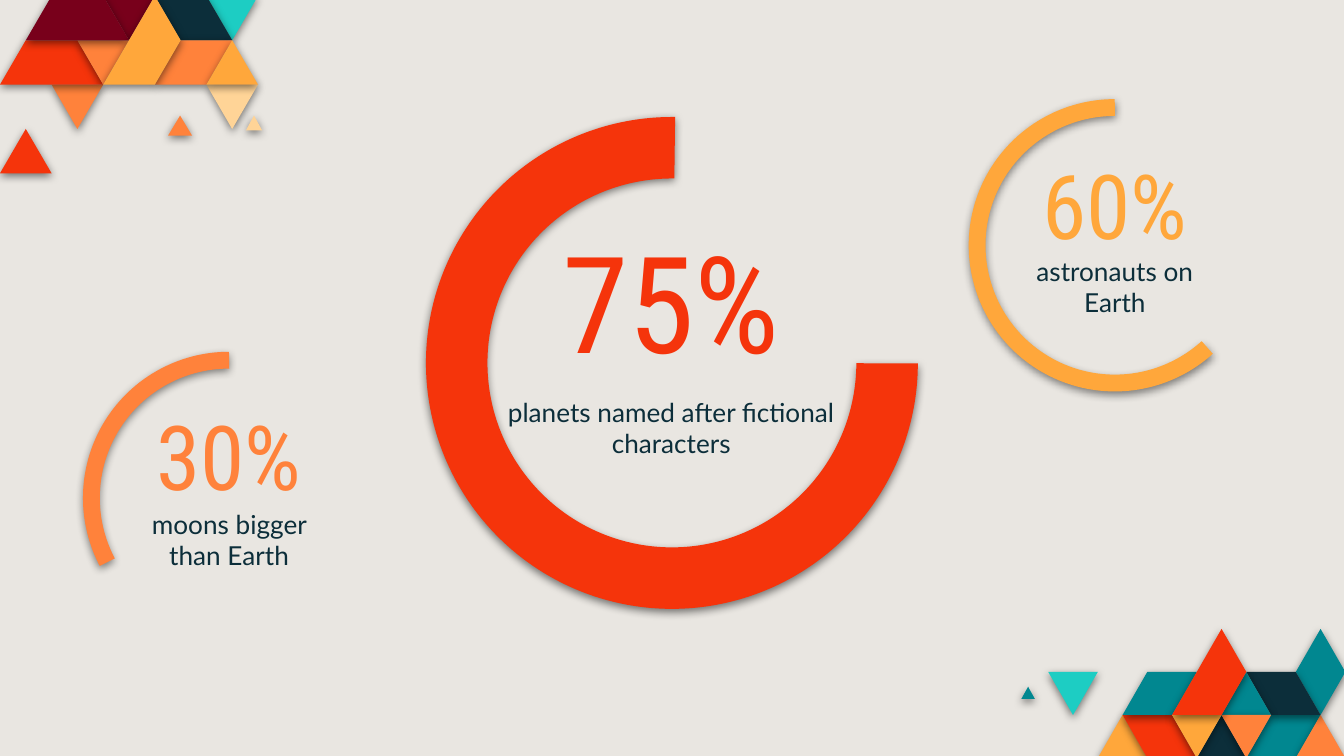
from pptx import Presentation
from pptx.dml.color import RGBColor
from pptx.enum.shapes import MSO_SHAPE
from pptx.enum.text import MSO_ANCHOR, MSO_AUTO_SIZE, PP_ALIGN
from pptx.oxml import parse_xml
from pptx.oxml.ns import nsdecls, qn
from pptx.util import Inches, Pt

RED, ORANGE, AMBER, CREAM = "F5340B", "FF823B", "FFA73B", "FFD497"
MAROON, NAVY, TEAL, TURQUOISE = "78001B", "0C2E3A", "018790", "1DCDC3"
color = RGBColor.from_string


def add_shadow(shape, opacity):
    shape.shadow.inherit = False
    effects = shape._element.spPr.find(qn("a:effectLst"))
    effects.append(parse_xml(
        f'<a:outerShdw {nsdecls("a")} blurRad="{Pt(4.5)}" dist="{Pt(1.5)}" dir="5400000" algn="bl" rotWithShape="0">'
        f'<a:srgbClr val="000000"><a:alpha val="{opacity * 1000}"/></a:srgbClr></a:outerShdw>'))


def write_text(shape, box, text, size, font_name, hex_color, anchor, spacing):
    shape.left, shape.top, shape.width, shape.height = [Inches(value) for value in box]
    frame = shape.text_frame
    frame.text = text
    margins = {f"margin_{side}": Inches(0.1) for side in ("left", "right", "top", "bottom")}
    frame_format = {"word_wrap": True, "auto_size": MSO_AUTO_SIZE.NONE, "vertical_anchor": anchor, **margins}
    for name, value in frame_format.items():
        setattr(frame, name, value)
    paragraph = frame.paragraphs[0]
    paragraph_format = {"alignment": PP_ALIGN.CENTER, "line_spacing": spacing, "space_before": Pt(0)}
    for name, value in paragraph_format.items():
        setattr(paragraph, name, value)
    font = paragraph.runs[0].font
    for name, value in {"name": font_name, "size": Pt(size), "bold": False}.items():
        setattr(font, name, value)
    font.color.rgb = color(hex_color)


presentation = Presentation()
presentation.slide_width = Inches(10)
presentation.slide_height = Inches(10) * 9 // 16
slide = presentation.slides.add_slide(presentation.slide_layouts[5])
slide.background.fill.solid()
slide.background.fill.fore_color.rgb = color("E9E6E1")

mosaics = [
    ((7.8, 4.68, 2.21 / 12, 0.32), [
        (AMBER, [(2, 3), (3, 2), (4, 3)]),
        (RED, [(3, 2), (5, 2), (6, 3), (4, 3)]),
        (TEAL, [(8, 3), (9, 2), (11, 2), (10, 3)]),
        (ORANGE, [(10, 3), (11, 2), (12, 3)]),
        (NAVY, [(6, 3), (7, 2), (8, 3)]),
        (TEAL, [(3, 2), (4, 1), (6, 1), (5, 2)]),
        (TURQUOISE, [(0, 1), (2, 1), (1, 2)]),
        (TEAL, [(10, 1), (11, 0), (12, 1), (11, 2)]),
        (NAVY, [(8, 1), (10, 1), (11, 2), (9, 2)]),
        (TEAL, [(7, 2), (8, 1), (9, 2)]),
        (ORANGE, [(7, 2), (9, 2), (8, 3)]),
        (AMBER, [(5, 2), (7, 2), (6, 3)]),
        (RED, [(5, 2), (7, 0), (8, 1), (7, 2)]),
    ]),
    ((0, -0.03, 1.92 / 10, 0.33), [
        (MAROON, [(4, 0), (6, 0), (5, 1)]),
        (TURQUOISE, [(8, 0), (10, 0), (9, 1)]),
        (NAVY, [(6, 0), (8, 0), (9, 1), (7, 1)]),
        (CREAM, [(8, 2), (10, 2), (9, 3)]),
        (ORANGE, [(7, 1), (9, 1), (8, 2), (6, 2)]),
        (AMBER, [(8, 2), (9, 1), (10, 2)]),
        (ORANGE, [(2, 2), (4, 2), (3, 3)]),
        (RED, [(0, 4), (1, 3), (2, 4)]),
        (RED, [(0, 2), (1, 1), (3, 1), (4, 2)]),
        (ORANGE, [(3, 1), (5, 1), (4, 2)]),
        (MAROON, [(1, 1), (2, 0), (4, 0), (5, 1)]),
        (AMBER, [(4, 2), (6, 0), (7, 1), (6, 2)]),
    ]),
    ((0, 0, 1, 1), [
        (TEAL, [(7.6, 5.2), (7.65, 5.11), (7.7, 5.2)]),
        (ORANGE, [(1.25, 1.01), (1.34, 0.86), (1.43, 1.01)]),
        (CREAM, [(1.83, 0.97), (1.89, 0.86), (1.95, 0.97)]),
    ]),
]
for (left, top, column_step, row_step), tiles in mosaics:
    for hex_color, corners in tiles:
        points = [(Inches(left + column * column_step), Inches(top + row * row_step)) for column, row in corners]
        builder = slide.shapes.build_freeform(*points[0])
        builder.add_line_segments(points[1:], close=True)
        tile = builder.convert_to_shape()
        tile.fill.solid()
        tile.fill.fore_color.rgb = color(hex_color)
        tile.line.fill.background()
        add_shadow(tile, 50)

ring = slide.shapes.add_shape(MSO_SHAPE.BLOCK_ARC, Inches(3.17), Inches(0.87), Inches(3.66), Inches(3.66))
ring.rotation = 270
for index, value in enumerate((90.1 * 0.6, 0.75 * 0.6, 0.125)):
    ring.adjustments[index] = value
ring.fill.solid()
ring.fill.fore_color.rgb = color(RED)
ring.line.fill.background()
add_shadow(ring, 50)

write_text(slide.shapes.title, (3.66, 1.92, 2.67, 1), "75%", 72, "Roboto Condensed", RED, MSO_ANCHOR.BOTTOM, 0.8)
captions = [((3.66, 2.85, 2.67, 0.64), "planets named after fictional characters")]

gauges = [
    (0.68, 2.68, 3.08, 27.8, ORANGE, "30%", "moons bigger than Earth"),
    (7.27, 0.8, 1.21, 132.12, AMBER, "60%", "astronauts on Earth"),
]
for left, top, number_top, end_angle, hex_color, percentage, caption in gauges:
    arc = slide.shapes.add_shape(MSO_SHAPE.ARC, Inches(left), Inches(top), Inches(2.05), Inches(2.05))
    arc._element.spPr.find(qn("a:xfrm")).set("flipH", "1")
    for index, angle in enumerate((270, end_angle)):
        arc.adjustments[index] = angle * 0.6
    arc.fill.background()
    arc.line.color.rgb = color(hex_color)
    arc.line.width = Pt(9)
    add_shadow(arc, 45)
    number = slide.shapes.add_textbox(0, 0, 0, 0)
    write_text(number, (left + 0.25, number_top, 1.55, 0.8), percentage, 48, "Roboto Condensed", hex_color,
               MSO_ANCHOR.BOTTOM, 0.8)
    captions.append(((left + 0.25, top + 1, 1.55, 0.64), caption))

for box, caption in captions:
    label = slide.shapes.add_textbox(0, 0, 0, 0)
    write_text(label, box, caption, 14, "Lato", NAVY, MSO_ANCHOR.TOP, 1.0)

presentation.save("out.pptx")
